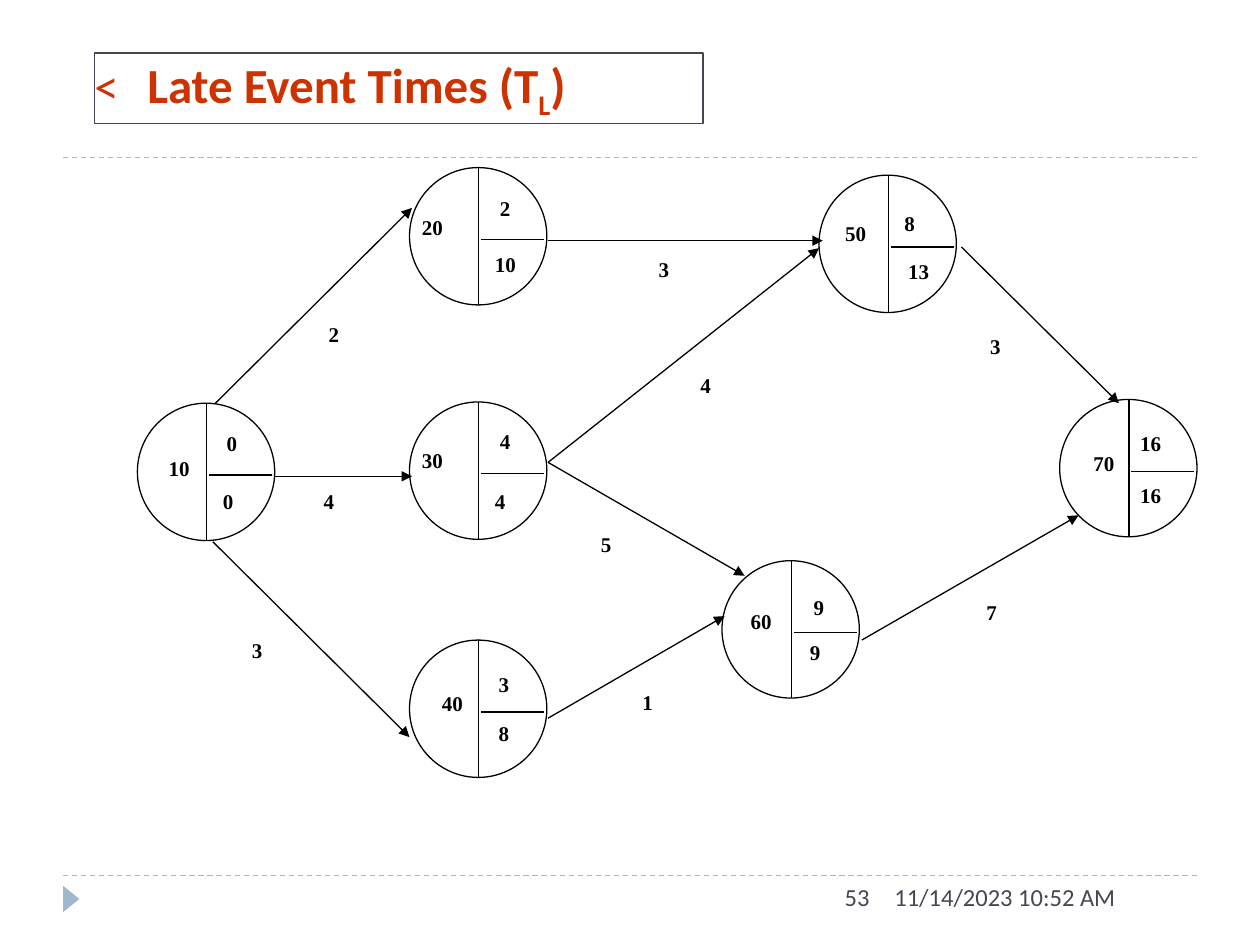
from lxml.etree import SubElement
from pptx import Presentation
from pptx.dml.color import RGBColor
from pptx.enum.dml import MSO_LINE
from pptx.enum.shapes import MSO_CONNECTOR, MSO_SHAPE
from pptx.enum.text import MSO_ANCHOR, PP_ALIGN
from pptx.oxml.ns import qn
from pptx.util import Inches, Pt

INK, SLATE, BLUE, RED, WHITE = "000000", "464653", "9FB8CD", "CC3300", "FFFFFF"
SERIF, SANS = "Times New Roman", "Calibri"
SIZE = 1.09  # circle diameter

# Circle left, top; then event number, early time, late time as (text, left, top)
EVENTS = [
    (3.25, 1.33, [("20", 3.25, 1.65), ("2", 3.87, 1.5), ("10", 3.83, 1.95)]),
    (1.09, 3.2, [("10", 1.24, 3.57), ("0", 1.7, 3.37), ("0", 1.67, 3.83)]),
    (3.25, 3.19, [("30", 3.25, 3.5), ("4", 3.87, 3.35), ("4", 3.83, 3.83)]),
    (6.5, 1.39, [("50", 6.61, 1.7), ("8", 7.08, 1.62), ("13", 7.11, 2)]),
    (3.25, 5.08, [("40", 3.41, 5.43), ("3", 3.86, 5.28), ("8", 3.86, 5.67)]),
    (5.73, 4.45, [("60", 5.86, 4.78), ("9", 6.36, 4.67), ("9", 6.33, 5.03)]),
    (8.41, 3.17, [("70", 8.58, 3.53), ("16", 8.95, 3.37), ("16", 8.95, 3.78)]),
]

# Arrow start, end; duration and its left, top
TASKS = [
    ((2.18, 3.78), (3.27, 3.78), "4", 2.47, 3.83),
    ((1.71, 3.2), (3.27, 1.65), "2", 2.51, 2.5),
    ((1.69, 4.3), (3.25, 5.85), "3", 1.9, 5.01),
    ((4.35, 5.7), (5.75, 4.89), "1", 5, 5.42),
    ((4.35, 3.67), (6.5, 1.97), "4", 5.46, 2.91),
    ((4.35, 1.91), (6.53, 1.91), "3", 5.13, 1.99),
    ((4.35, 3.67), (5.91, 4.57), "5", 4.67, 4.17),
    ((6.84, 5.08), (8.56, 4.09), "7", 7.73, 4.71),
    ((7.63, 1.96), (8.88, 3.2), "3", 7.76, 2.6),
]

FOOTER = [
    ("11/14/2023 10:52 AM", 7, 2.5, PP_ALIGN.LEFT),
    ("53", 3.17, 3.83, PP_ALIGN.RIGHT),
]

deck = Presentation()
deck.slide_width, deck.slide_height = Inches(10), Inches(7.5)
shapes = deck.slides.add_slide(deck.slide_layouts[6]).shapes


def color(code):
    return RGBColor.from_string(code)


def style(font, size, face, code, bold=False):
    font.size, font.name, font.bold = Pt(size), face, bold
    font.color.rgb = color(code)


def line(start, end, code=INK, dash=False, arrow=False):
    item = shapes.add_connector(MSO_CONNECTOR.STRAIGHT, *map(Inches, start + end))
    item.line.color.rgb = color(code)
    item.line.width = Pt(0.75)
    if dash:
        item.line.dash_style = MSO_LINE.DASH
    if arrow:
        SubElement(item.line._get_or_add_ln(), qn("a:tailEnd"), type="triangle")
    SubElement(item._element.spPr, qn("a:effectLst"))


def shape(kind, box, fill, edge=None):
    item = shapes.add_shape(kind, *map(Inches, box))
    item.shadow.inherit = False
    item.fill.solid()
    item.fill.fore_color.rgb = color(fill)
    if edge:
        item.line.color.rgb = color(edge)
        item.line.width = Pt(0.75)
    else:
        item.line.fill.background()
    return item


def label(text, box, size=12, face=SERIF, code=INK, bold=True, align=PP_ALIGN.LEFT):
    frame = shapes.add_textbox(*map(Inches, box)).text_frame
    frame.word_wrap = True
    frame.text = text
    par = frame.paragraphs[0]
    par.alignment = align
    style(par.runs[0].font, size, face, code, bold)


def title():
    item = shape(MSO_SHAPE.RECTANGLE, (0.75, 0.42, 4.83, 0.56), WHITE, SLATE)
    frame = item.text_frame
    frame.margin_left = frame.margin_right = 0
    frame.margin_top = frame.margin_bottom = 0
    frame.vertical_anchor = MSO_ANCHOR.MIDDLE
    par = frame.paragraphs[0]
    par.alignment = PP_ALIGN.LEFT
    props = par._p.get_or_add_pPr()
    props.set("marL", str(Inches(0.42)))
    props.set("indent", str(Inches(-0.42)))
    tint = SubElement(props, qn("a:buClr"))
    SubElement(tint, qn("a:srgbClr"), val=RED)
    SubElement(props, qn("a:buFont"), typeface=SANS)
    SubElement(props, qn("a:buChar"), char="<")
    for text in ("Late Event Times (T", "L", ")"):
        run = par.add_run()
        run.text = text
        style(run.font, 28, SANS, RED, True)
    par.runs[1].font._element.set("baseline", "-25000")


for y in (6.95, 1.25):
    line((0.5, y), (9.5, y), BLUE, dash=True)
mark = shape(MSO_SHAPE.ISOSCELES_TRIANGLE, (0.46, 7.07, 0.21, 0.13), BLUE)
mark.rotation = 90
for text, x, width, align in FOOTER:
    label(text, (x, 6.95, width, 0.4), 14, SANS, SLATE, False, align)
title()

for x, y, times in EVENTS:
    shape(MSO_SHAPE.OVAL, (x, y, SIZE, SIZE), WHITE, INK)
    line((x + 0.55, y), (x + 0.55, y + SIZE))
    line((x + 0.57, y + 0.57), (x + 1.07, y + 0.57))
    for text, left, top in times:
        label(text, (left, top, 0.47, 0.33))

for start, end, text, left, top in TASKS:
    line(start, end, arrow=True)
    label(text, (left, top, 0.36, 0.31))

deck.save("out.pptx")
